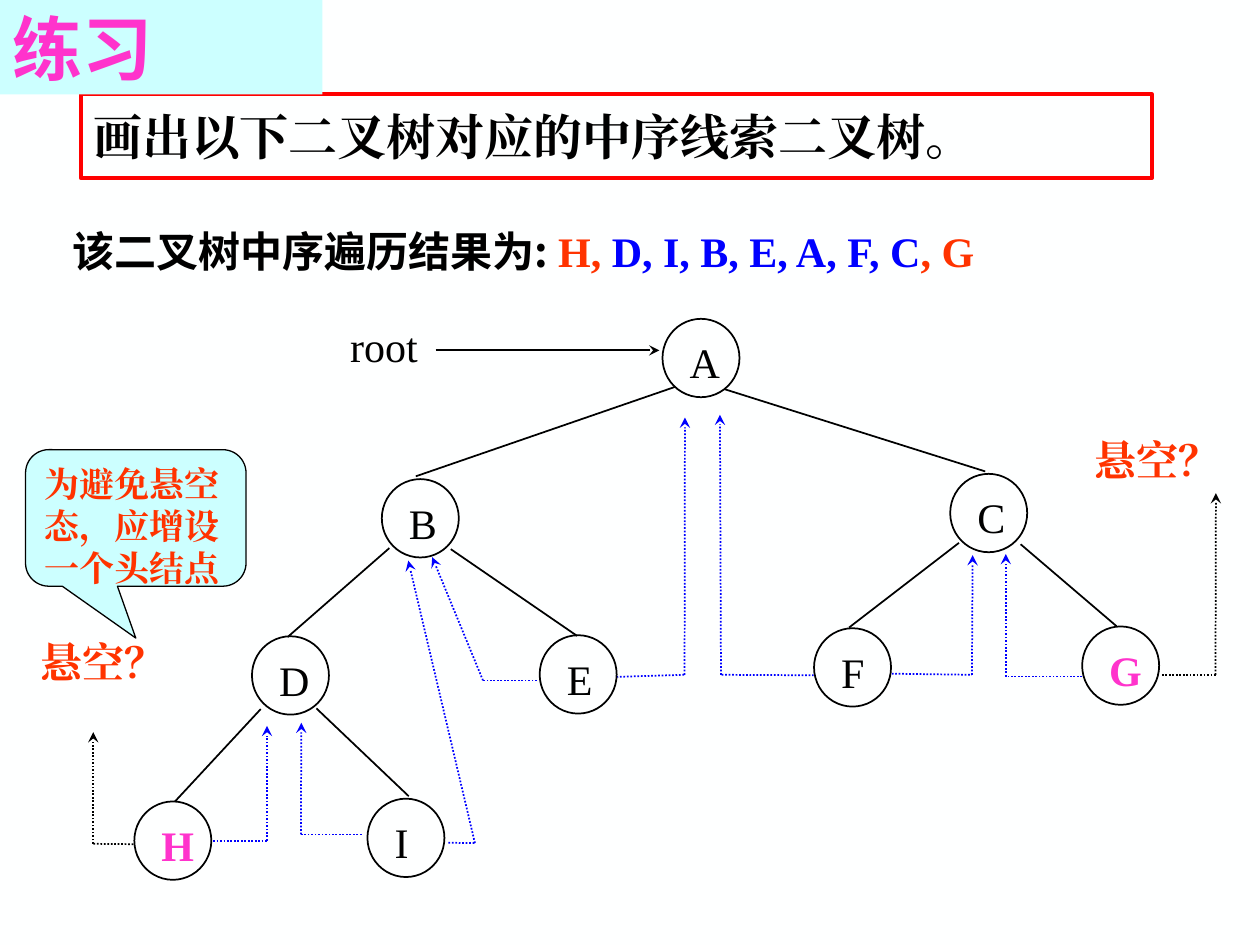
from dataclasses import dataclass

from lxml.etree import SubElement
from pptx import Presentation
from pptx.dml.color import RGBColor
from pptx.enum.dml import MSO_LINE_DASH_STYLE as Dash
from pptx.enum.shapes import MSO_CONNECTOR as Connector, MSO_SHAPE as Shape
from pptx.enum.text import MSO_ANCHOR as Anchor, MSO_AUTO_SIZE as AutoSize, PP_ALIGN as Align
from pptx.oxml.ns import qn
from pptx.util import Pt


@dataclass(frozen=True)
class Theme:
    background: str = "FEFFFF"
    black: str = "000000"
    blue: str = "0000FF"
    red: str = "FF0000"
    orange: str = "FF3300"
    pink: str = "FF33CC"
    cyan: str = "CCFFFF"
    serif: str = "Times New Roman"
    sans: str = "Noto Sans CJK SC"
    banner: int = 40
    title: int = 28
    body: int = 24
    note: int = 20


class SlideBuilder:
    def __init__(self, slide, theme):
        self.slide, self.theme = slide, theme
        slide.background.fill.solid()
        slide.background.fill.fore_color.rgb = RGBColor.from_string(theme.background)

    def fill_text(self, shape, runs, size, bold=True, anchor=Anchor.TOP, wrap=True,
                  auto_size=AutoSize.NONE):
        """Fill a shape with one paragraph of (text, colour, font) runs."""
        frame = shape.text_frame
        settings = {"word_wrap": wrap, "auto_size": auto_size, "vertical_anchor": anchor}
        for name, value in settings.items():
            setattr(frame, name, value)
        paragraph = frame.paragraphs[0]
        paragraph.alignment = Align.LEFT
        for text, colour, font_name in runs:
            run = paragraph.add_run()
            run.text = text
            for name, value in {"size": Pt(size), "bold": bold, "name": font_name}.items():
                setattr(run.font, name, value)
            run.font.color.rgb = RGBColor.from_string(colour)
            east_asian = SubElement(run._r.get_or_add_rPr(), qn("a:ea"))
            east_asian.set("typeface", font_name)

    def text(self, box, runs, size, **options):
        shape = self.slide.shapes.add_textbox(*map(Pt, box))
        self.fill_text(shape, runs, size, auto_size=AutoSize.SHAPE_TO_FIT_TEXT, **options)

    def shape(self, kind, box, fill=None, line=None, width=1.0):
        shape = self.slide.shapes.add_shape(kind, *map(Pt, box))
        shape.shadow.inherit = False
        if fill:
            shape.fill.solid()
            shape.fill.fore_color.rgb = RGBColor.from_string(fill)
        else:
            shape.fill.background()
        if line:
            shape.line.color.rgb = RGBColor.from_string(line)
            shape.line.width = Pt(width)
        else:
            shape.line.fill.background()
        return shape

    def line(self, start, end, colour, dotted=False, arrow=False):
        connector = self.slide.shapes.add_connector(
            Connector.STRAIGHT, *map(Pt, (*start, *end)))
        connector.line.color.rgb = RGBColor.from_string(colour)
        connector.line.width = Pt(1)
        if dotted:
            connector.line.dash_style = Dash.ROUND_DOT
        properties = connector._element.spPr
        if arrow:
            SubElement(properties.find(qn("a:ln")), qn("a:tailEnd")).set("type", "stealth")
        SubElement(properties, qn("a:effectLst"))

    def thread(self, start, corner, end, colour):
        """A dotted pointer that turns once and ends in an arrowhead."""
        self.line(start, corner, colour, dotted=True)
        self.line(corner, end, colour, dotted=True, arrow=True)

    def node(self, letter, left, top, label_width, highlighted):
        theme = self.theme
        self.shape(Shape.OVAL, (left, top, 44, 44.8), line=theme.black)
        colour = theme.pink if highlighted else theme.black
        self.text((left + 8.4, top + 6.8, label_width, 36),
                  [(letter, colour, theme.serif)], theme.body, bold=highlighted, wrap=False)


# Tree: letter, left, top, label width
NODES = [
    ("A", 378.6, 182.2, 31.7), ("B", 218.2, 273.8, 30.2), ("C", 543, 270.8, 30.2),
    ("D", 144, 363.6, 31.7), ("E", 308.4, 363, 29.5), ("F", 465.2, 359, 28.1),
    ("G", 618.4, 358, 33.1), ("H", 76.8, 458, 33.1), ("I", 210, 456.4, 22.3),
]

# Branches from parent to child
BRANCHES = [
    ((386, 221), (237.6, 272.2)), ((414, 222.4), (563, 269.4)),
    ((222.5, 313.2), (164.4, 364)), ((257.6, 313.8), (329.8, 363.4)),
    ((548, 310.2), (485.2, 358.6)), ((583.2, 311), (638, 357.8)),
    ((149, 405.2), (100, 458)), ((180.8, 404.8), (233.6, 455)),
]

# Threads to predecessor or successor: start, corner, end
THREADS = [
    ((256.2, 481.6), (271.4, 481.8), (233.3, 320.4)),
    ((306.8, 388.8), (276, 388.8), (247, 318.4)),
    ((206.6, 476.8), (172, 476.8), (172.2, 413)),
    ((121.8, 480.4), (152.6, 480.4), (152.6, 414.8)),
    ((465, 385.9), (412, 385.6), (411.4, 237)),
    ((618.4, 386.6), (574.8, 386.6), (574.8, 316.6)),
    ((352.3, 386.8), (391.2, 385.6), (391.4, 238.6)),
    ((509.6, 385), (555.4, 385.6), (555.8, 317.2)),
]
DANGLING_THREADS = [
    ((76.2, 482.4), (53.3, 482.2), (53.3, 418.4)),
    ((664, 385.6), (694.6, 385.6), (694.8, 281.8)),
]


def main():
    presentation = Presentation()
    presentation.slide_width, presentation.slide_height = Pt(720), Pt(540)
    theme = Theme()
    builder = SlideBuilder(presentation.slides.add_slide(presentation.slide_layouts[6]), theme)

    # Threads
    for colour, threads in ((theme.blue, THREADS), (theme.black, DANGLING_THREADS)):
        for points in threads:
            builder.thread(*points, colour)

    # Binary tree
    for letter, left, top, label_width in NODES:
        builder.node(letter, left, top, label_width, highlighted=letter in "HG")
    for start, end in BRANCHES:
        builder.line(start, end, theme.black)
    builder.line((249, 200.2), (376.8, 200.2), theme.black, arrow=True)
    builder.text((193, 179.4, 53.3, 36), [("root", theme.black, theme.serif)],
                 theme.body, bold=False, wrap=False)

    # Marks on the dangling threads
    for left, top, width in ((16, 360, 102), (618.4, 244.8, 98)):
        builder.text((left, top, width, 36), [("悬空？", theme.orange, theme.serif)], theme.body)

    # Inorder sequence
    builder.text((34.6, 125.2, 636, 36), [
        ("该二叉树中序遍历结果为: ", theme.black, theme.sans),
        ("H, ", theme.orange, theme.serif),
        ("D, I, B, E, A, F, C", theme.blue, theme.serif),
        (", G", theme.orange, theme.serif),
    ], theme.body)

    # Task
    task = builder.shape(Shape.RECTANGLE, (46.2, 53.8, 612, 48), line=theme.red, width=2.25)
    builder.fill_text(task, [("画出以下二叉树对应的中序线索二叉树。", theme.black, theme.serif)],
                      theme.title, anchor=Anchor.MIDDLE)

    # Hint callout
    hint = builder.shape(Shape.ROUNDED_RECTANGULAR_CALLOUT, (14.6, 257, 126, 78),
                         fill=theme.cyan, line=theme.black, width=0.75)
    for index, value in enumerate((0, 0.88, 0.17)):
        hint.adjustments[index] = value
    builder.fill_text(hint, [("为避免悬空态，应增设一个头结点", theme.orange, theme.serif)],
                      theme.note)

    # Banner
    banner = builder.shape(Shape.RECTANGLE, (0, 0, 184.3, 54), fill=theme.cyan)
    builder.fill_text(banner, [("练习", theme.pink, theme.sans)], theme.banner,
                      anchor=Anchor.MIDDLE)

    presentation.save("out.pptx")


if __name__ == "__main__":
    main()
